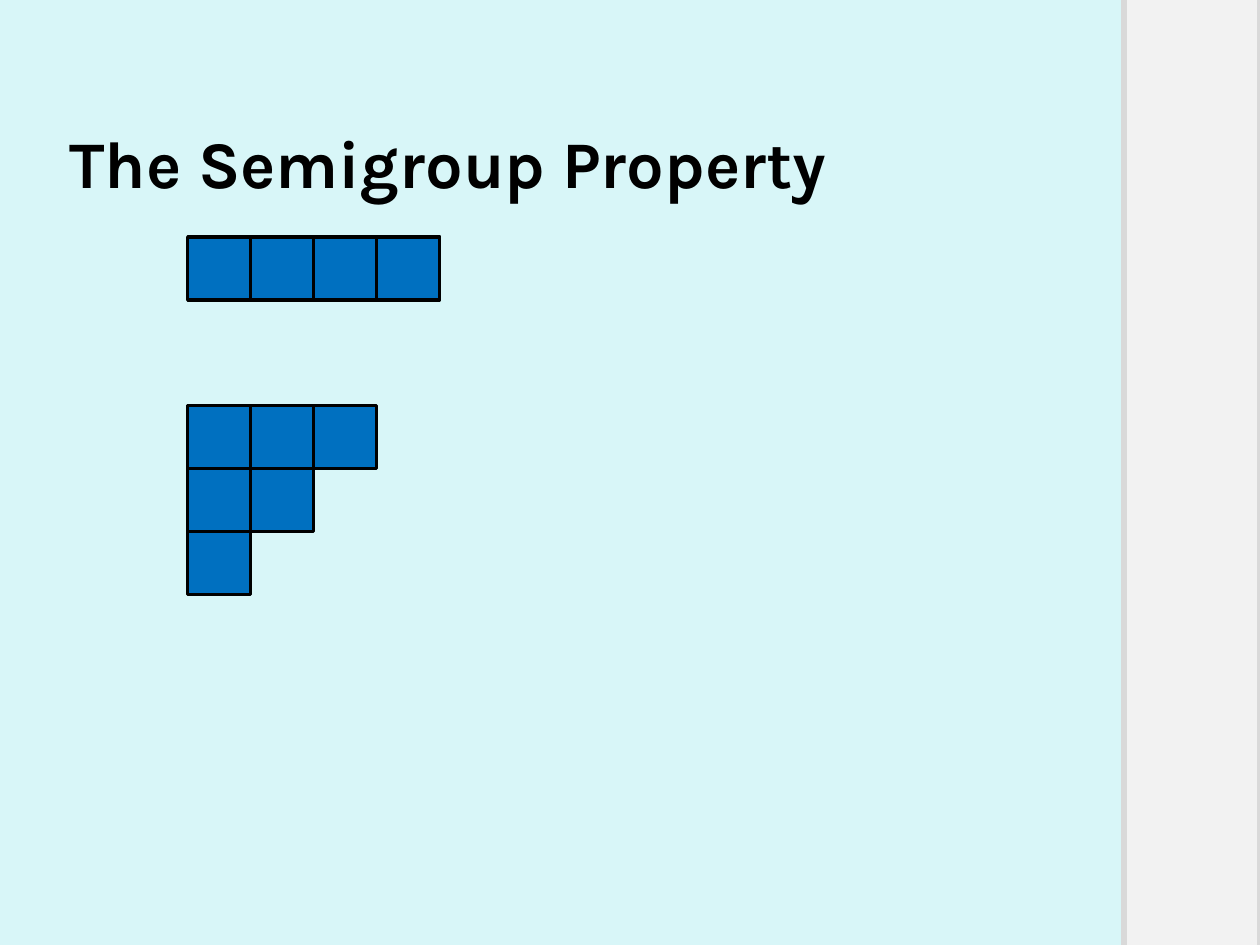
from pptx import Presentation
from pptx.dml.color import RGBColor
from pptx.enum.shapes import MSO_SHAPE
from pptx.enum.text import MSO_ANCHOR
from pptx.util import Inches, Pt

COLORS = {
    "background": "D8F6F8",
    "sidebar": "F2F2F2",
    "sidebar_line": "D9D9D9",
    "cell": "0070C0",
    "black": "000000",
}
CELL_SIZE = 0.5
DIAGRAM_LEFT = 1.49
DIAGRAMS = [(1.88, [4]), (3.22, [3, 2, 1])]


def add_rectangle(shapes, left, top, width, height, fill, line, line_width):
    shape = shapes.add_shape(
        MSO_SHAPE.RECTANGLE, Inches(left), Inches(top), Inches(width), Inches(height)
    )
    shape.shadow.inherit = False
    shape.fill.solid()
    shape.fill.fore_color.rgb = RGBColor.from_string(COLORS[fill])
    shape.line.color.rgb = RGBColor.from_string(COLORS[line])
    shape.line.width = Pt(line_width)


presentation = Presentation()
presentation.slide_width = Inches(10)
presentation.slide_height = Inches(7.5)
slide = presentation.slides.add_slide(presentation.slide_layouts[6])
slide.background.fill.solid()
slide.background.fill.fore_color.rgb = RGBColor.from_string(COLORS["background"])

add_rectangle(slide.shapes, 8.92, -0.08, 1.08, 7.67, "sidebar", "sidebar_line", 3.15)

title = slide.shapes.add_textbox(Inches(0.5), Inches(0.35), Inches(7.92), Inches(1.25))
frame = title.text_frame
frame.word_wrap = True
frame.vertical_anchor = MSO_ANCHOR.BOTTOM
frame.margin_left = frame.margin_right = Inches(0.05)
frame.margin_top = frame.margin_bottom = Inches(0)
paragraph = frame.paragraphs[0]
paragraph.text = "The Semigroup Property"
paragraph.font.name = "Karla"
paragraph.font.size = Pt(38)
paragraph.font.bold = True
paragraph.font.color.rgb = RGBColor.from_string(COLORS["black"])

for diagram_top, row_lengths in DIAGRAMS:
    diagram = slide.shapes.add_group_shape()
    for row, length in enumerate(row_lengths):
        for column in range(length):
            add_rectangle(
                diagram.shapes,
                DIAGRAM_LEFT + column * CELL_SIZE,
                diagram_top + row * CELL_SIZE,
                CELL_SIZE,
                CELL_SIZE,
                "cell",
                "black",
                2,
            )

presentation.save("out.pptx")
